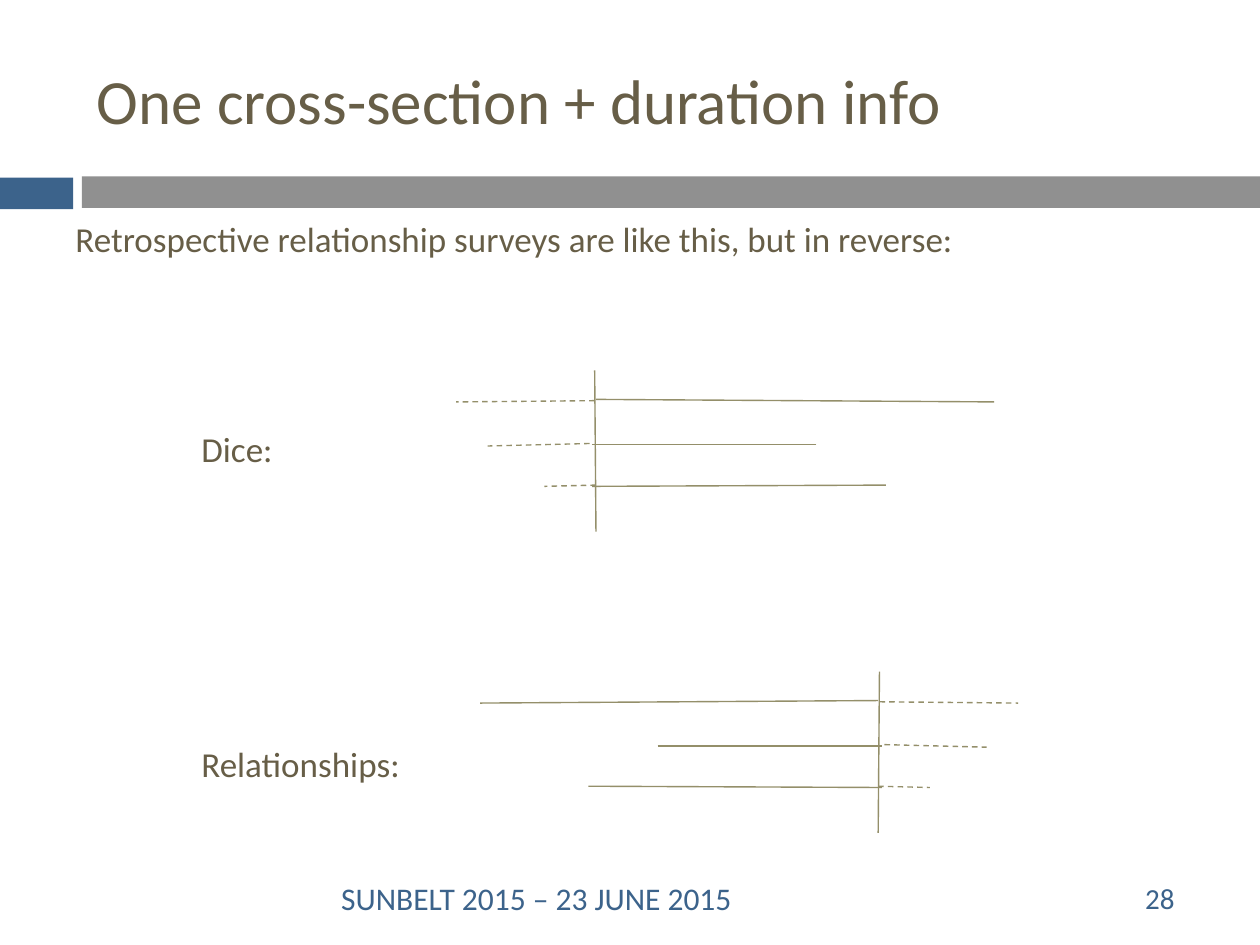
from lxml import etree
from pptx import Presentation, util as u
from pptx.dml.color import RGBColor
from pptx.enum import dml, shapes, text
from pptx.oxml.ns import qn

COLORS = {"brown": "675E47", "blue": "3C638B", "grey": "909090", "olive": "948F6A"}

BANDS = [
    ((0, 1.41, 0.58, 0.25), "blue"),
    ((0.65, 1.4, 9.35, 0.25), "grey"),
]
TEXTS = [
    ("One cross-section + duration info", (0.67, 0.25, 8.92, 1.08), 36, "brown"),
    ("Retrospective relationship surveys are like this, but in reverse:",
     (0.5, 1.67, 9, 0.44), 20, "brown"),
    ("Dice:", (1.5, 3.34, 2, 0.44), 20, "brown"),
    ("Relationships:", (1.5, 5.84, 2.2, 0.44), 20, "brown"),
    ("SUNBELT 2015 – 23 JUNE 2015", (2.61, 6.93, 4.74, 0.4), 18, "blue"),
    ("28", (8.99, 6.93, 0.58, 0.4), 16.6, "blue"),
]
OBSERVED = [
    (4.72, 2.94, 4.73, 4.22),
    (7.89, 3.19, 4.73, 3.17),
    (7.03, 3.85, 4.7, 3.86),
    (6.48, 3.53, 4.7, 3.53),
]
UNOBSERVED = [
    (4.72, 3.18, 3.62, 3.19),
    (4.73, 3.85, 4.32, 3.86),
    (4.68, 3.52, 3.87, 3.54),
]
MIRROR_SUM = 11.7
MIRROR_DROP = 2.39


def color(name):
    return RGBColor.from_string(COLORS[name])


def add_band(slide, box, fill):
    band = slide.shapes.add_shape(shapes.MSO_SHAPE.RECTANGLE, *map(u.Inches, box))
    band.shadow.inherit = False
    band.fill.solid()
    band.fill.fore_color.rgb = color(fill)
    band.line.fill.background()


def add_text(slide, words, box, size, ink):
    frame = slide.shapes.add_textbox(*map(u.Inches, box)).text_frame
    frame.word_wrap = True
    frame.vertical_anchor = text.MSO_ANCHOR.MIDDLE
    paragraph = frame.paragraphs[0]
    paragraph.text = words
    paragraph.font.name = "Calibri"
    paragraph.font.size = u.Pt(size)
    paragraph.font.color.rgb = color(ink)


def add_duration(slide, ends, dashed):
    duration = slide.shapes.add_connector(
        shapes.MSO_CONNECTOR.STRAIGHT, *map(u.Inches, ends))
    duration.line.color.rgb = color("olive")
    duration.line.width = u.Pt(0.79)
    if dashed:
        duration.line.dash_style = dml.MSO_LINE.DASH
    etree.SubElement(duration._element.spPr, qn("a:effectLst"))


def reverse(ends):
    x1, y1, x2, y2 = ends
    return MIRROR_SUM - x1, y1 + MIRROR_DROP, MIRROR_SUM - x2, y2 + MIRROR_DROP


def main():
    deck = Presentation()
    deck.slide_width, deck.slide_height = u.Inches(10), u.Inches(7.5)
    slide = deck.slides.add_slide(deck.slide_layouts[6])
    for band in BANDS:
        add_band(slide, *band)
    for item in TEXTS:
        add_text(slide, *item)
    for durations, dashed in ((OBSERVED, False), (UNOBSERVED, True)):
        for ends in durations:
            add_duration(slide, ends, dashed)
            add_duration(slide, reverse(ends), dashed)
    deck.save("out.pptx")


if __name__ == "__main__":
    main()
